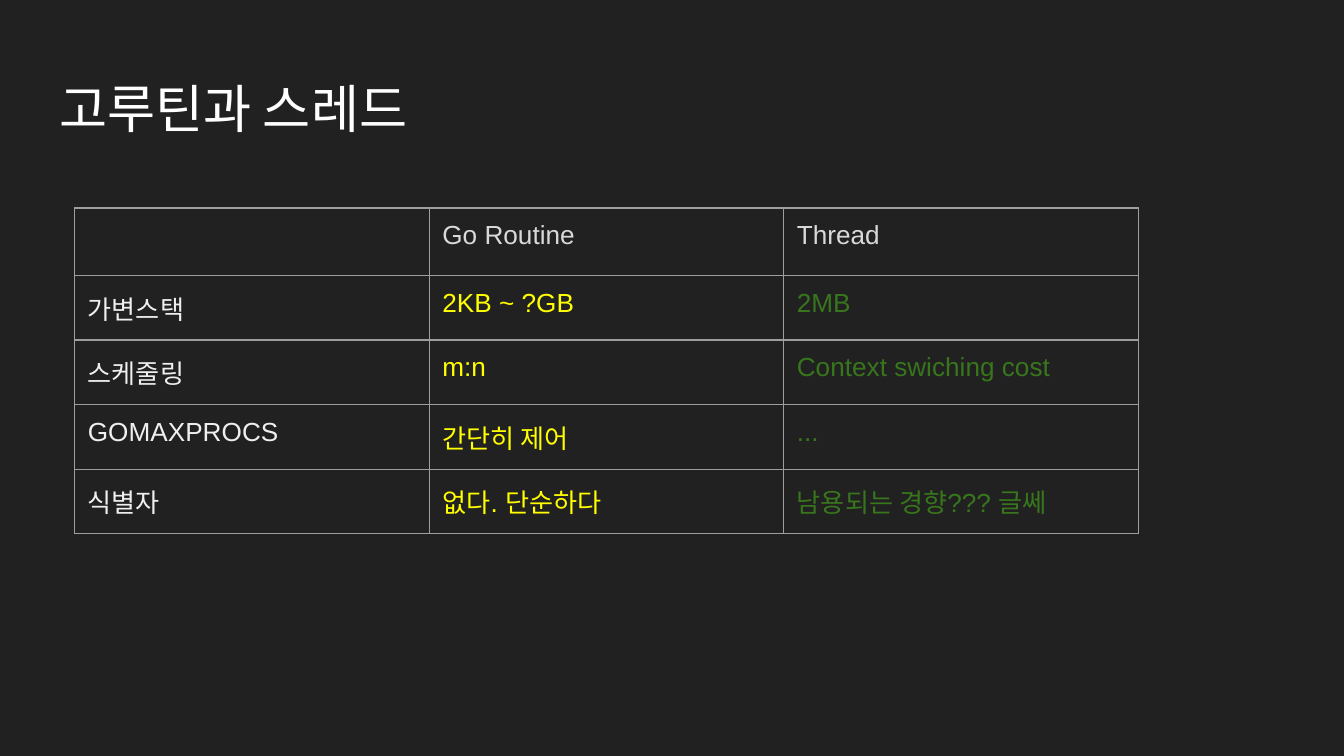
import dataclasses
import typing

import pptx
import pptx.dml.color
import pptx.enum.text
import pptx.oxml
import pptx.oxml.ns
import pptx.util

Cm = pptx.util.Cm
Pt = pptx.util.Pt


@dataclasses.dataclass(frozen=True)
class Theme:
    font: str = "Arial"
    back: str = "212121"
    title: str = "FFFFFF"
    head: str = "D9D9D9"
    label: str = "EFEFEF"
    go: str = "FFFF00"
    thread: str = "38761D"
    line: str = "9E9E9E"
    big: int = 28
    body: int = 14
    rule: float = 0.75
    inset: float = 0.25


class Row(typing.NamedTuple):
    label: str
    go: str
    thread: str


THEME = Theme()
ROWS = [
    Row("", "Go Routine", "Thread"),
    Row("가변스택", "2KB ~ ?GB", "2MB"),
    Row("스케줄링", "m:n", "Context swiching cost"),
    Row("GOMAXPROCS", "간단히 제어", "..."),
    Row("식별자", "없다. 단순하다", "남용되는 경향??? 글쎄"),
]
HEAD = [THEME.head] * 3
TINTS = [THEME.label, THEME.go, THEME.thread]


def apply(item: typing.Any, form: dict) -> None:
    for name, value in form.items():
        setattr(item, name, value)


def insets() -> dict:
    sides = ("left", "right", "top", "bottom")
    return {f"margin_{side}": Cm(THEME.inset) for side in sides}


def write(frame: typing.Any, text: str, size: int, tint: str) -> None:
    part = frame.paragraphs[0]
    part.alignment = pptx.enum.text.PP_ALIGN.LEFT
    run = part.add_run()
    apply(run, {"text": text})
    apply(run.font, {"name": THEME.font, "size": Pt(size), "bold": False})
    run.font.color.rgb = pptx.dml.color.RGBColor.from_string(tint)


def border(cell: typing.Any) -> None:
    props = cell._tc.get_or_add_tcPr()
    space = pptx.oxml.ns.nsdecls("a")
    # Border lines come before the fill in the cell properties
    for spot, side in enumerate(("lnL", "lnR", "lnT", "lnB")):
        props.insert(spot, pptx.oxml.parse_xml(
            f'<a:{side} {space} w="{Pt(THEME.rule)}"><a:solidFill>'
            f'<a:srgbClr val="{THEME.line}"/></a:solidFill></a:{side}>'))


def draw_title(slide: typing.Any, text: str) -> None:
    title = slide.shapes.title
    apply(title, {"left": Cm(0.87), "top": Cm(1.24),
                  "width": Cm(23.67), "height": Cm(1.6)})
    apply(title.text_frame, {
        **insets(),
        "word_wrap": True,
        "auto_size": pptx.enum.text.MSO_AUTO_SIZE.NONE,
        "vertical_anchor": pptx.enum.text.MSO_ANCHOR.MIDDLE,
    })
    write(title.text_frame, text, THEME.big, THEME.title)


def draw_table(slide: typing.Any, rows: list[Row]) -> None:
    wide, high = Cm(6.7), Cm(1.07)
    count = len(Row._fields)
    table = slide.shapes.add_table(
        len(rows), count, Cm(1.41), Cm(3.93),
        wide * count, high * len(rows)).table
    apply(table, {"first_row": False, "horz_banding": False})
    for y, row in enumerate(rows):
        for x, text in enumerate(row):
            cell = table.cell(y, x)
            apply(cell, insets())
            cell.fill.background()
            border(cell)
            if text:
                tints = TINTS if y else HEAD
                write(cell.text_frame, text, THEME.body, tints[x])


def main() -> None:
    deck = pptx.Presentation()
    apply(deck, {"slide_width": Cm(25.4), "slide_height": Cm(14.29)})
    slide = deck.slides.add_slide(deck.slide_layouts.get_by_name("Title Only"))

    # Dark background
    fill = slide.background.fill
    fill.solid()
    fill.fore_color.rgb = pptx.dml.color.RGBColor.from_string(THEME.back)

    # Title and comparison table
    draw_title(slide, "고루틴과 스레드")
    draw_table(slide, ROWS)
    deck.save("out.pptx")


if __name__ == "__main__":
    main()
